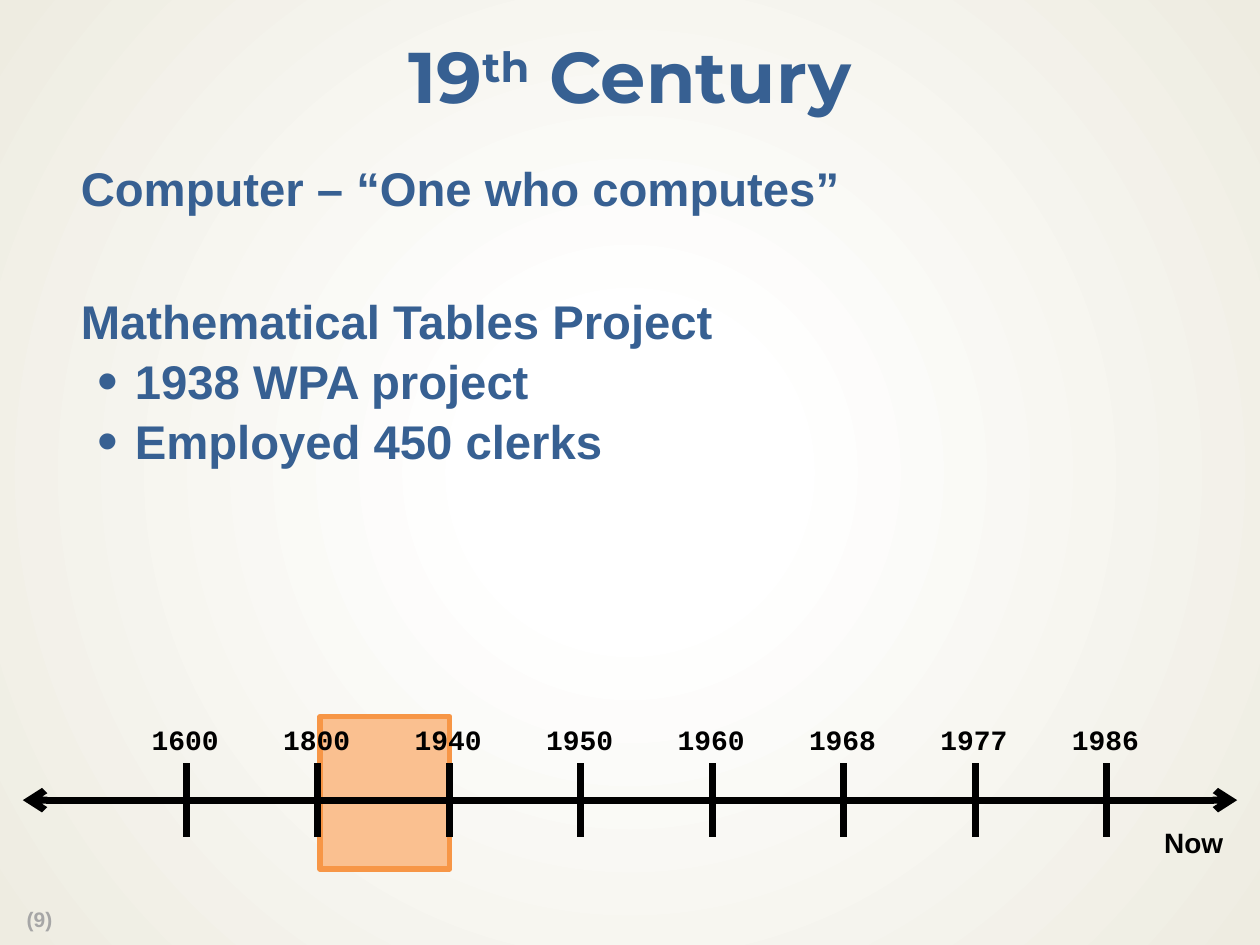
from lxml import etree
from pptx import Presentation
from pptx.dml.color import RGBColor
from pptx.enum import shapes, text
from pptx.oxml import parse_xml
from pptx.oxml.ns import nsdecls, qn
from pptx.util import Cm, Pt

HUES = {"blue": "376092", "black": "000000", "grey": "A6A6A6",
        "peach": "FAC090", "orange": "F79646",
        "white": "FFFFFF", "cream": "EEECE1"}


def style(par, size, name, hue):
    font = par.font
    font.size, font.name, font.bold = Pt(size), name, True
    font.color.rgb = RGBColor.from_string(HUES[hue])


def line(x1, y1, x2, y2):
    rule = slide.shapes.add_connector(
        shapes.MSO_CONNECTOR.STRAIGHT, Cm(x1), Cm(y1), Cm(x2), Cm(y2))
    rule.line.width = Pt(4)
    rule.line.color.rgb = RGBColor.from_string(HUES["black"])
    etree.SubElement(rule._element.spPr, qn("a:effectLst"))
    return rule


deck = Presentation()
deck.slide_width, deck.slide_height = Cm(25.4), Cm(19.05)
slide = deck.slides.add_slide(deck.slide_layouts[5])

# Background: radial gradient from the centre
fill = slide.background.fill
fill.gradient()
for stop, (hue, place) in zip(fill.gradient_stops,
                              [("white", 0.18), ("cream", 1)]):
    stop.color.rgb = RGBColor.from_string(HUES[hue])
    stop.position = place
grad = slide.background._cSld.find(".//" + qn("a:gradFill"))
grad.remove(grad.find(qn("a:lin")))
grad.find(qn("a:gsLst")).addnext(parse_xml(
    f'<a:path {nsdecls("a")} path="circle">'
    '<a:fillToRect l="50000" t="50000" r="50000" b="50000"/></a:path>'))

# Title
title = slide.shapes.title
title.left, title.top, title.width, title.height = 0, Cm(0.43), Cm(25.4), Cm(2.39)
frame = title.text_frame
frame.vertical_anchor = text.MSO_ANCHOR.MIDDLE
par = frame.paragraphs[0]
par.alignment, par.line_spacing = text.PP_ALIGN.CENTER, 0.9
for words in ("19", "th", " Century"):
    par.add_run().text = words
par.runs[1].font._element.set("baseline", "30000")
style(par, 41, "Montserrat", "blue")

# Highlighted period
band = slide.shapes.add_shape(shapes.MSO_SHAPE.RECTANGLE,
                              Cm(6.45), Cm(14.45), Cm(2.62), Cm(3.07))
band.shadow.inherit = False
band.fill.solid()
band.fill.fore_color.rgb = RGBColor.from_string(HUES["peach"])
band.line.color.rgb = RGBColor.from_string(HUES["orange"])
band.line.width = Pt(3)

# Body: words, space before, bullet
rows = [("Computer – “One who computes”", 0, False),
        ("Mathematical Tables Project", 47, False),
        ("1938 WPA project", 5.2, True),
        ("Employed 450 clerks", 5.2, True)]
frame = slide.shapes.add_textbox(Cm(0.97), Cm(3.18), Cm(23.5), Cm(9)).text_frame
frame.word_wrap = True
frame.margin_left = frame.margin_right = Cm(0.3)
frame.margin_top = frame.margin_bottom = Cm(0.15)
for i, (words, gap, dot) in enumerate(rows):
    par = frame.add_paragraph() if i else frame.paragraphs[0]
    par.text, par.line_spacing = words, 0.9
    if gap:
        par.space_before = Pt(gap)
    props = par._p.get_or_add_pPr()
    props.set("marL", str(Cm(1.45 if dot else 0.36)))
    if dot:
        props.set("indent", str(Cm(-0.76)))
        etree.SubElement(props, qn("a:buSzPct"), val="125000")
        etree.SubElement(props, qn("a:buFont"), typeface="Arial")
        etree.SubElement(props, qn("a:buChar"), char="•")
    style(par, 27, "Arial", "blue")

# Timeline axis with an arrow at both ends
axis = line(0.46, 16.13, 24.94, 16.13)
for end in ("a:headEnd", "a:tailEnd"):
    etree.SubElement(axis.line._get_or_add_ln(), qn(end), type="arrow")

# Ticks and the labels: words, left, top, width, size, font, colour
notes = [("Now", 23.22, 16.51, 1.73, 16, "Arial", "black"),
         ("(9)", 0.29, 18.16, 1.3, 12, "Arial", "grey")]
years = (1600, 1800, 1940, 1950, 1960, 1968, 1977, 1986)
for i, year in enumerate(years):
    x = 3.76 + 2.65 * i
    line(x, 15.39, x, 16.87)
    notes.append((str(year), x - 0.95, 14.45, 1.88, 16, "Courier New", "black"))
for words, x, y, wide, size, name, hue in notes:
    frame = slide.shapes.add_textbox(Cm(x), Cm(y), Cm(wide), Cm(0.94)).text_frame
    frame.word_wrap = False
    par = frame.paragraphs[0]
    par.text = words
    style(par, size, name, hue)

deck.save("out.pptx")
